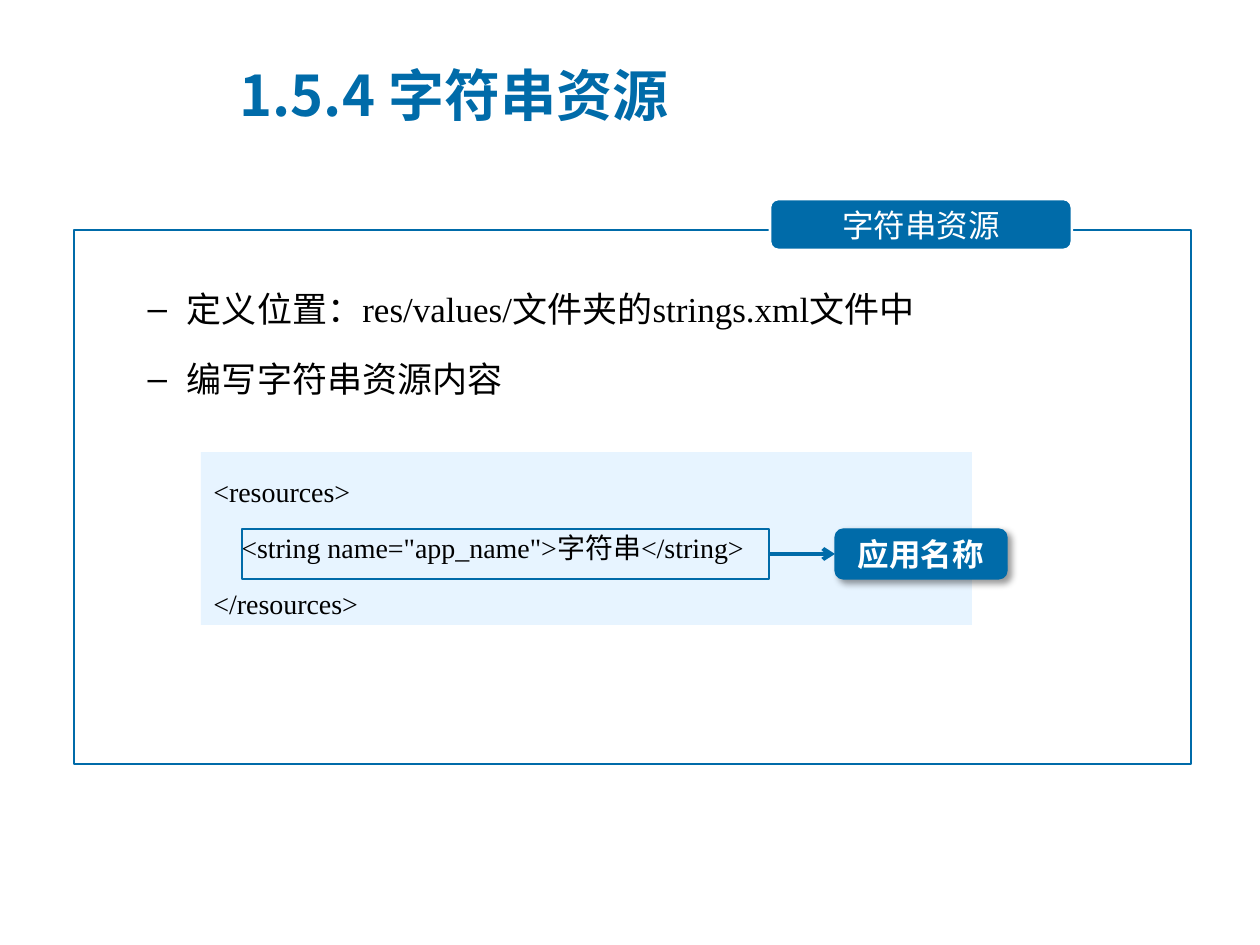
from dataclasses import dataclass
from typing import Any, NamedTuple, Optional

from lxml.etree import SubElement
from pptx import Presentation
from pptx.dml.color import RGBColor
from pptx.enum.shapes import MSO_CONNECTOR, MSO_SHAPE
from pptx.enum.text import MSO_ANCHOR, MSO_AUTO_SIZE, PP_ALIGN
from pptx.oxml.ns import qn
from pptx.util import Pt

SCALE = 914400 / 126  # EMU in one px


@dataclass(frozen=True)
class Theme:
    blue: str = "006BA9"
    pale: str = "E7F4FF"
    white: str = "FFFFFF"
    black: str = "000000"
    serif: str = "Times New Roman"
    sans: str = "Calibri"
    han: str = "Noto Sans CJK SC"
    title: int = 32
    body: int = 20
    label: int = 18
    code: int = 16


class Box(NamedTuple):
    left: int
    top: int
    width: int
    height: int


@dataclass(frozen=True)
class Panel:
    box: Box
    kind: Any = MSO_SHAPE.RECTANGLE
    fill: Optional[str] = None
    line: Optional[str] = None
    weight: float = 1.5


THEME = Theme()


def px(num: float) -> int:
    return round(num * SCALE)


def apply(item: Any, form: dict) -> None:
    for key, val in form.items():
        setattr(item, key, val)


def place(shape: Any, box: Box) -> None:
    apply(shape, {key: px(val) for key, val in box._asdict().items()})


def draw(slide: Any, panel: Panel) -> Any:
    shape = slide.shapes.add_shape(panel.kind, *map(px, panel.box))
    shape.shadow.inherit = False
    if panel.fill:
        shape.fill.solid()
        shape.fill.fore_color.rgb = RGBColor.from_string(panel.fill)
    else:
        shape.fill.background()
    if panel.line:
        shape.line.color.rgb = RGBColor.from_string(panel.line)
        shape.line.width = Pt(panel.weight)
    else:
        shape.line.fill.background()
    return shape


def write(shape: Any, lines: list[str], size: int, face: str, color: str,
          form: dict, anchor: Any = MSO_ANCHOR.MIDDLE, bold: bool = False) -> None:
    frame = shape.text_frame
    apply(frame, {"word_wrap": True, "auto_size": MSO_AUTO_SIZE.NONE,
                  "vertical_anchor": anchor})
    for pos, line in enumerate(lines):
        para = frame.add_paragraph() if pos else frame.paragraphs[0]
        apply(para, form)
        para.space_before = Pt(size * 0.2 if pos else 0)
        run = para.add_run()
        run.text = line
        apply(run.font, {"size": Pt(size), "name": face, "bold": bold})
        run.font.color.rgb = RGBColor.from_string(color)
        SubElement(run.font._element, qn("a:ea"), typeface=THEME.han)


def shade(shape: Any) -> None:
    glow = SubElement(shape._element.spPr.find(qn("a:effectLst")), qn("a:outerShdw"),
                      blurRad=str(Pt(4)), dist=str(Pt(3)), dir="2700000",
                      algn="tl", rotWithShape="0")
    tint = SubElement(glow, qn("a:srgbClr"), val=THEME.black)
    SubElement(tint, qn("a:alpha"), val="40000")


def join(slide: Any, start: Any, end: Any) -> None:
    link = slide.shapes.add_connector(MSO_CONNECTOR.STRAIGHT, 0, 0, 0, 0)
    link.begin_connect(start, 3)
    link.end_connect(end, 1)
    link.line.color.rgb = RGBColor.from_string(THEME.blue)
    link.line.width = Pt(2.25)
    SubElement(link.line._get_or_add_ln(), qn("a:tailEnd"), type="arrow")
    SubElement(link._element.spPr, qn("a:effectLst"))


def main() -> None:
    deck = Presentation()
    apply(deck, {"slide_width": px(1260), "slide_height": px(945)})
    slide = deck.slides.add_slide(deck.slide_layouts[1])
    title, body = slide.placeholders
    left = {"alignment": PP_ALIGN.LEFT}
    mid = {"alignment": PP_ALIGN.CENTER}

    # Title and list
    place(title, Box(227, 56, 999, 77))
    write(title, ["1.5.4 字符串资源"], THEME.title, THEME.han, THEME.blue, left, bold=True)
    place(body, Box(72, 260, 1099, 136))
    write(body, ["定义位置：res/values/文件夹的strings.xml文件中", "编写字符串资源内容"],
          THEME.body, THEME.serif, THEME.black, {"level": 1, "line_spacing": 1.5},
          MSO_ANCHOR.TOP)

    # Frame with its tab
    draw(slide, Panel(Box(74, 230, 1117, 534), line=THEME.blue))
    tab = draw(slide, Panel(Box(770, 199, 302, 51), MSO_SHAPE.ROUNDED_RECTANGLE,
                            THEME.blue, THEME.white))
    write(tab, ["字符串资源"], THEME.label, THEME.han, THEME.white, mid)

    # Code block
    code = draw(slide, Panel(Box(201, 452, 771, 173), fill=THEME.pale))
    write(code, ["<resources>", '    <string name="app_name">字符串</string>', "</resources>"],
          THEME.code, THEME.serif, THEME.black, {**left, "line_spacing": 1.5},
          MSO_ANCHOR.TOP)

    # Marked line and its callout
    mark = draw(slide, Panel(Box(242, 529, 527, 50), line=THEME.blue))
    note = draw(slide, Panel(Box(835, 529, 172, 50), MSO_SHAPE.ROUNDED_RECTANGLE,
                             THEME.blue, THEME.blue, 0.75))
    shade(note)
    write(note, ["应用名称"], THEME.label, THEME.sans, THEME.white, mid, bold=True)
    join(slide, mark, note)
    deck.save("out.pptx")


if __name__ == "__main__":
    main()
